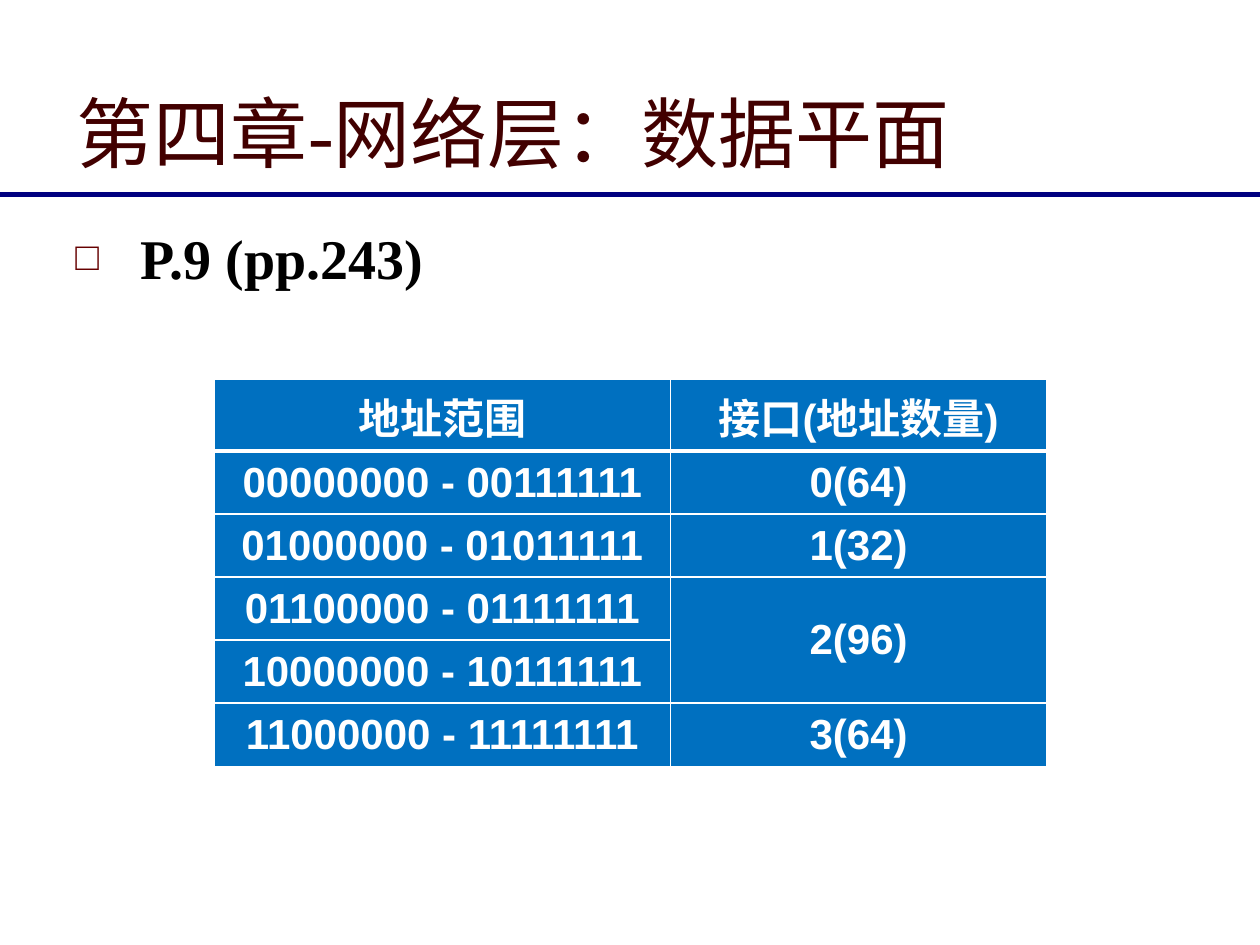
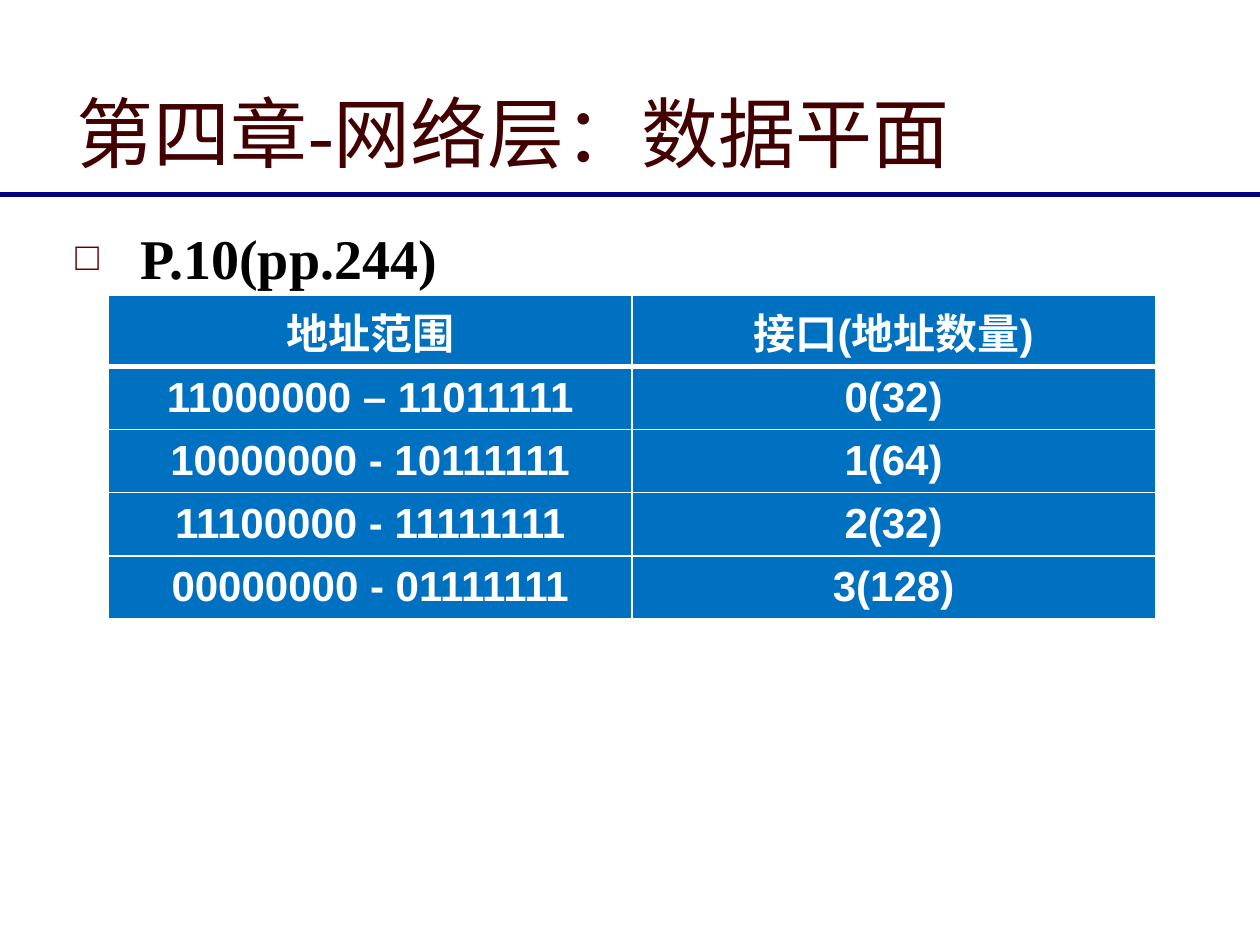
from dataclasses import dataclass

from lxml import etree
from pptx import Presentation
from pptx import util as u
from pptx.dml.color import RGBColor
from pptx.enum import lang, shapes, text
from pptx.oxml import ns

# Grid of 100 columns by 75 rows; every length below is counted in them
WIDTH, HEIGHT = u.Inches(10), u.Inches(7.5)
COL, ROW = WIDTH / 100, HEIGHT / 75


@dataclass(frozen=True)
class Theme:
    title: str = "420000"
    rule: str = "000080"
    bullet: str = "660000"
    body: str = "000000"
    cell_fill: str = "0070C0"
    cell_text: str = "FFFFFF"
    serif: str = "Times New Roman"
    sans: str = "Arial"
    title_size: int = 44
    body_size: int = 32
    cell_size: int = 24
    rule_width: int = 3
    border: int = 1
    header_border: int = 3


T = Theme()
TITLE = "第四章-网络层：数据平面"
HEADERS = ("地址范围", "接口(地址数量)")
HEADER_HEIGHT, RANGE_HEIGHT = 5.7, 4.72
TITLE_FONT = {"name": T.serif, "size": u.Pt(T.title_size), "bold": False}
BODY_FONT = {"name": T.serif, "size": u.Pt(T.body_size), "bold": True}
CELL_FONT = {"name": T.sans, "size": u.Pt(T.cell_size), "bold": True}


def grid(left, top, width, height):
    return [int(n) for n in (left * COL, top * ROW, width * COL, height * ROW)]


def apply(target, values):
    for name, value in values.items():
        setattr(target, name, value)


def child(parent, tag, **attrs):
    return etree.SubElement(parent, ns.qn(tag), attrs)


def write(tf, words, font, color, align):
    """Put one formatted line of text in a frame."""
    p = tf.paragraphs[0]
    p.alignment = align
    r = p.add_run()
    r.text = words
    apply(r.font, font)
    r.font.language_id = lang.MSO_LANGUAGE_ID.SIMPLIFIED_CHINESE
    r.font.color.rgb = RGBColor.from_string(color)


def add_title(s):
    sp = s.shapes.title
    apply(sp, dict(zip(("left", "top", "width", "height"),
                       grid(5.1, 2.1, 90, 12.5))))
    apply(sp.text_frame, {"vertical_anchor": text.MSO_ANCHOR.BOTTOM,
                          "auto_size": text.MSO_AUTO_SIZE.NONE,
                          "word_wrap": True})
    write(sp.text_frame, TITLE, TITLE_FONT, T.title, text.PP_ALIGN.LEFT)


def add_rule(s):
    left, y, width, _ = grid(0, 15.45, 100, 0)
    line = s.shapes.add_connector(shapes.MSO_CONNECTOR.STRAIGHT,
                                  left, y, left + width, y)
    line.line.color.rgb = RGBColor.from_string(T.rule)
    line.line.width = u.Pt(T.rule_width)
    child(line._element.spPr, "a:effectLst")


def add_bullet_line(s, words, width):
    tf = s.shapes.add_textbox(*grid(5, 17.2, width, 55.7)).text_frame
    apply(tf, {"word_wrap": True, "margin_top": int(0.55 * ROW)})
    pPr = tf.paragraphs[0]._p.get_or_add_pPr()
    indent = int(5.15 * COL)
    pPr.set("marL", str(indent))
    pPr.set("indent", str(-indent))
    child(child(pPr, "a:buClr"), "a:srgbClr", val=T.bullet)
    child(pPr, "a:buSzPct", val="70000")
    child(pPr, "a:buFont", typeface=T.sans)
    child(pPr, "a:buChar", char="□")
    write(tf, words, BODY_FONT, T.body, text.PP_ALIGN.LEFT)


def set_borders(cell, top, bottom):
    tcPr = cell._tc.get_or_add_tcPr()
    widths = {"a:lnL": T.border, "a:lnR": T.border, "a:lnT": top, "a:lnB": bottom}
    for tag, width in widths.items():
        ln = child(tcPr, tag, w=str(u.Pt(width)))
        child(child(ln, "a:solidFill"), "a:srgbClr", val=T.cell_text)


def add_range_table(s, left, top, col_widths, rows):
    """Draw the address table; None continues the cell above."""
    data = [HEADERS, *rows]
    heights = [HEADER_HEIGHT] + [RANGE_HEIGHT] * len(rows)
    box = grid(left, top, sum(col_widths), sum(heights))
    table = s.shapes.add_table(len(data), len(HEADERS), *box).table
    for column, width in zip(table.columns, col_widths):
        column.width = int(width * COL)
    for i, values in enumerate(data):
        table.rows[i].height = int(heights[i] * ROW)
        for j, value in enumerate(values):
            cell = table.cell(i, j)
            set_borders(cell, T.header_border if i == 1 else T.border,
                        T.header_border if i == 0 else T.border)
            cell.fill.solid()
            cell.fill.fore_color.rgb = RGBColor.from_string(T.cell_fill)
            cell.vertical_anchor = text.MSO_ANCHOR.MIDDLE
            if value is None:
                table.cell(i - 1, j).merge(cell)
            else:
                write(cell.text_frame, value, CELL_FONT, T.cell_text,
                      text.PP_ALIGN.CENTER)


def add_answer(prs, problem, body_width, left, top, col_widths, rows):
    s = prs.slides.add_slide(prs.slide_layouts[5])
    add_rule(s)
    add_title(s)
    add_bullet_line(s, problem, body_width)
    add_range_table(s, left, top, col_widths, rows)


def main():
    prs = Presentation()
    apply(prs, {"slide_width": WIDTH, "slide_height": HEIGHT})

    # Problem 9: two ranges share interface 2
    add_answer(prs, "P.9 (pp.243)", 90.1, 17, 30.1, (36.2, 29.9), [
        ("00000000 - 00111111", "0(64)"),
        ("01000000 - 01011111", "1(32)"),
        ("01100000 - 01111111", "2(96)"),
        ("10000000 - 10111111", None),
        ("11000000 - 11111111", "3(64)"),
    ])

    # Problem 10: one range per interface
    add_answer(prs, "P.10(pp.244)", 93, 8.6, 23.4, (41.55, 41.55), [
        ("11000000 – 11011111", "0(32)"),
        ("10000000 - 10111111", "1(64)"),
        ("11100000 - 11111111", "2(32)"),
        ("00000000 - 01111111", "3(128)"),
    ])

    prs.save("out.pptx")


if __name__ == "__main__":
    main()
